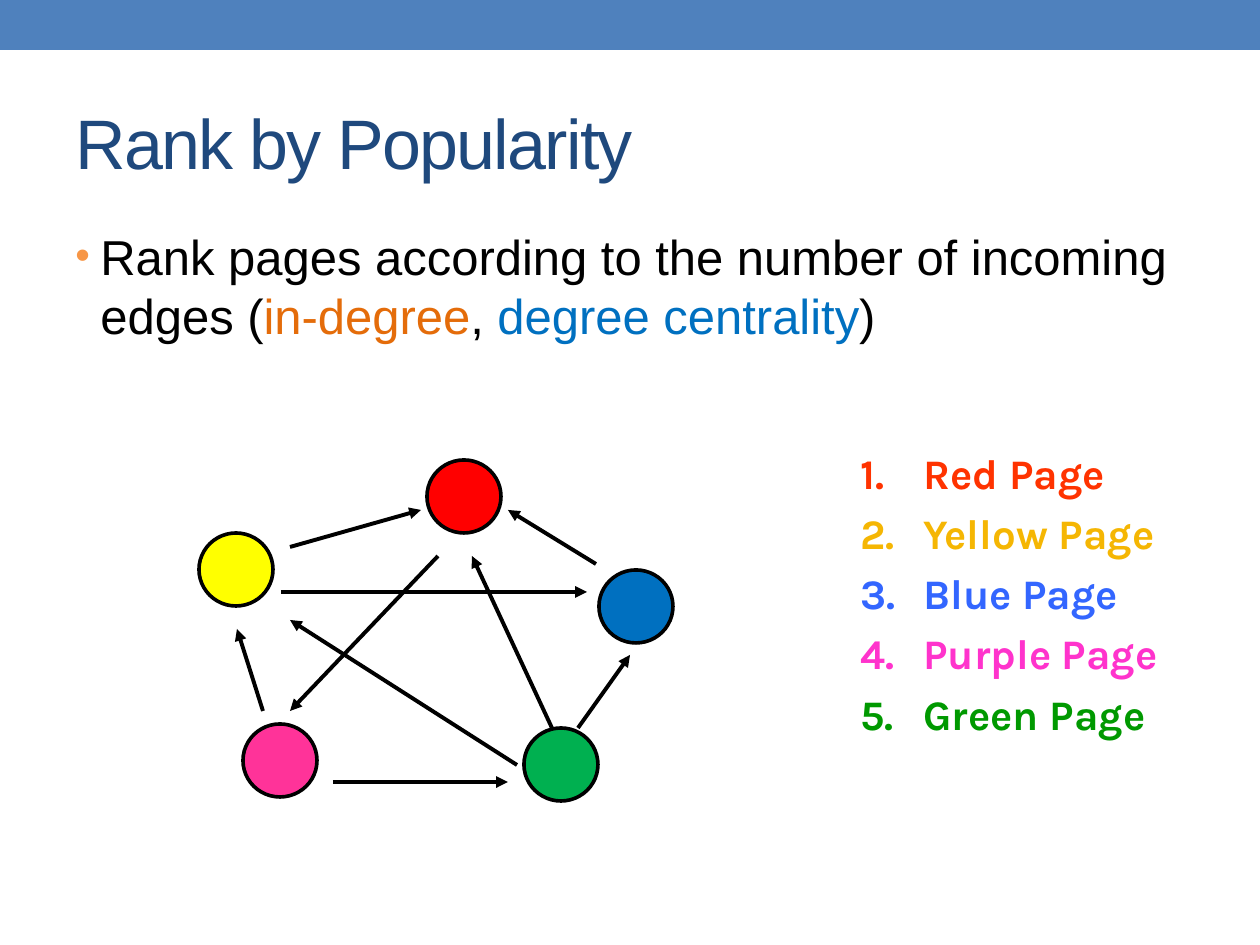
from lxml import etree
from pptx import Presentation, util as u
from pptx.dml.color import RGBColor
from pptx.enum import shapes, text
from pptx.oxml import ns

EMU_PER_PX = 914400 / 126

BLACK = RGBColor(0x00, 0x00, 0x00)
BAND = RGBColor(0x4F, 0x81, 0xBD)
NAVY = RGBColor(0x1F, 0x49, 0x7D)
BULLET = RGBColor(0xF7, 0x96, 0x46)
ORANGE = RGBColor(0xE4, 0x6C, 0x0A)
BLUE = RGBColor(0x00, 0x70, 0xC0)

NODE_SIZE = (74, 73)
NODES = [
    (243, 724, RGBColor(0xFF, 0x33, 0x99)),
    (199, 533, RGBColor(0xFF, 0xFF, 0x00)),
    (427, 460, RGBColor(0xFF, 0x00, 0x00)),
    (599, 570, BLUE),
    (524, 728, RGBColor(0x00, 0xB0, 0x50)),
]
EDGES = [
    (333, 782, 508, 782),
    (438, 556, 290, 711),
    (263, 711, 237, 629),
    (290, 547, 421, 510),
    (281, 592, 587, 592),
    (596, 564, 508, 510),
    (552, 728, 472, 556),
    (578, 728, 630, 655),
    (517, 765, 290, 620),
]
RANKING = [
    ("Red Page", RGBColor(0xFF, 0x33, 0x00)),
    ("Yellow Page", RGBColor(0xF5, 0xB6, 0x03)),
    ("Blue Page", RGBColor(0x33, 0x66, 0xFF)),
    ("Purple Page", RGBColor(0xFF, 0x33, 0xCC)),
    ("Green Page", RGBColor(0x00, 0x99, 0x00)),
]


def px(length):
    return u.Emu(round(length * EMU_PER_PX))


def set_attributes(target, values):
    for name, value in values.items():
        setattr(target, name, value)


def add_element(parent, tag, **attributes):
    return etree.SubElement(parent, ns.qn(tag), attributes)


def add_filled_shape(slide, kind, box, color, line_width=None):
    shape = slide.shapes.add_shape(kind, *map(px, box))
    shape.shadow.inherit = False
    shape.fill.solid()
    shape.fill.fore_color.rgb = color
    if line_width:
        shape.line.color.rgb = BLACK
        shape.line.width = u.Pt(line_width)
    else:
        shape.line.fill.background()


def add_arrow(slide, ends):
    arrow = slide.shapes.add_connector(shapes.MSO_CONNECTOR.STRAIGHT, *map(px, ends))
    arrow.line.color.rgb = BLACK
    arrow.line.width = u.Pt(2.25)
    add_element(arrow.line._get_or_add_ln(), "a:tailEnd", type="triangle")
    add_element(arrow._element.spPr, "a:effectLst")


def add_text_frame(slide, box, **frame_format):
    frame = slide.shapes.add_textbox(*map(px, box)).text_frame
    set_attributes(frame, {"word_wrap": True, **frame_format})
    return frame


def add_run(paragraph, wording, color, **font_format):
    run = paragraph.add_run()
    run.text = wording
    set_attributes(run.font, font_format)
    run.font.color.rgb = color
    return run


def hang_indent(paragraph, indent):
    """Set a hanging indent and return the properties for the bullet."""
    properties = paragraph._p.get_or_add_pPr()
    properties.set("marL", str(px(indent)))
    properties.set("indent", str(-px(indent)))
    return properties


def add_title(slide):
    frame = add_text_frame(slide, (63, 73, 1134, 136),
                           vertical_anchor=text.MSO_ANCHOR.MIDDLE)
    run = add_run(frame.paragraphs[0], "Rank by Popularity", NAVY,
                  name="Arial", size=u.Pt(40))
    run.font._element.set("spc", "-100")


def add_body(slide):
    frame = add_text_frame(slide, (63, 220, 1134, 672))
    paragraph = frame.paragraphs[0]
    properties = hang_indent(paragraph, 25)
    bullet_color = add_element(properties, "a:buClr")
    add_element(bullet_color, "a:srgbClr", val=str(BULLET))
    add_element(properties, "a:buSzPct", val="85000")
    add_element(properties, "a:buFont", typeface="Arial")
    add_element(properties, "a:buChar", char="•")
    for wording, color in [
        ("Rank pages according to the number of incoming edges (", BLACK),
        ("in-degree", ORANGE),
        (", ", BLACK),
        ("degree centrality", BLUE),
        (")", BLACK),
    ]:
        add_run(paragraph, wording, color, name="Arial", size=u.Pt(28))


def add_ranking(slide):
    frame = add_text_frame(slide, (848, 441, 346, 305), word_wrap=False)
    for index, (wording, color) in enumerate(RANKING):
        paragraph = frame.add_paragraph() if index else frame.paragraphs[0]
        properties = hang_indent(paragraph, 63)
        add_element(properties, "a:buFont", typeface="+mj-lt")
        add_element(properties, "a:buAutoNum", type="arabicPeriod")
        if index:
            paragraph.space_before = u.Pt(5.6)
        add_run(paragraph, wording, color, name="Karla", size=u.Pt(24), bold=True)


def add_graph(slide):
    for ends in EDGES:
        add_arrow(slide, ends)
    for left, top, color in NODES:
        add_filled_shape(slide, shapes.MSO_SHAPE.OVAL,
                         (left, top, *NODE_SIZE), color, line_width=2.08)


def main():
    presentation = Presentation()
    presentation.slide_width, presentation.slide_height = px(1260), px(945)
    slide = presentation.slides.add_slide(presentation.slide_layouts[6])
    add_filled_shape(slide, shapes.MSO_SHAPE.RECTANGLE, (0, 0, 1260, 50), BAND)
    add_title(slide)
    add_body(slide)
    add_ranking(slide)
    add_graph(slide)
    presentation.save("out.pptx")


if __name__ == "__main__":
    main()
